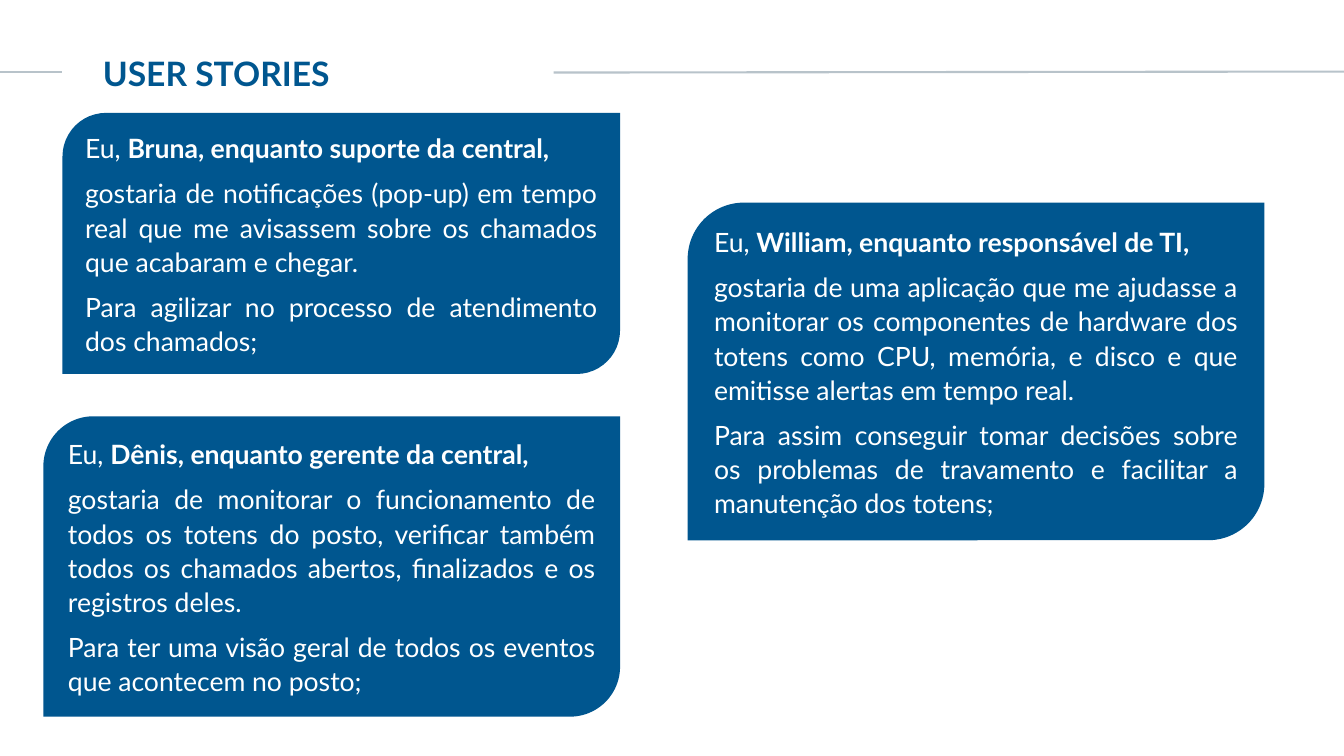
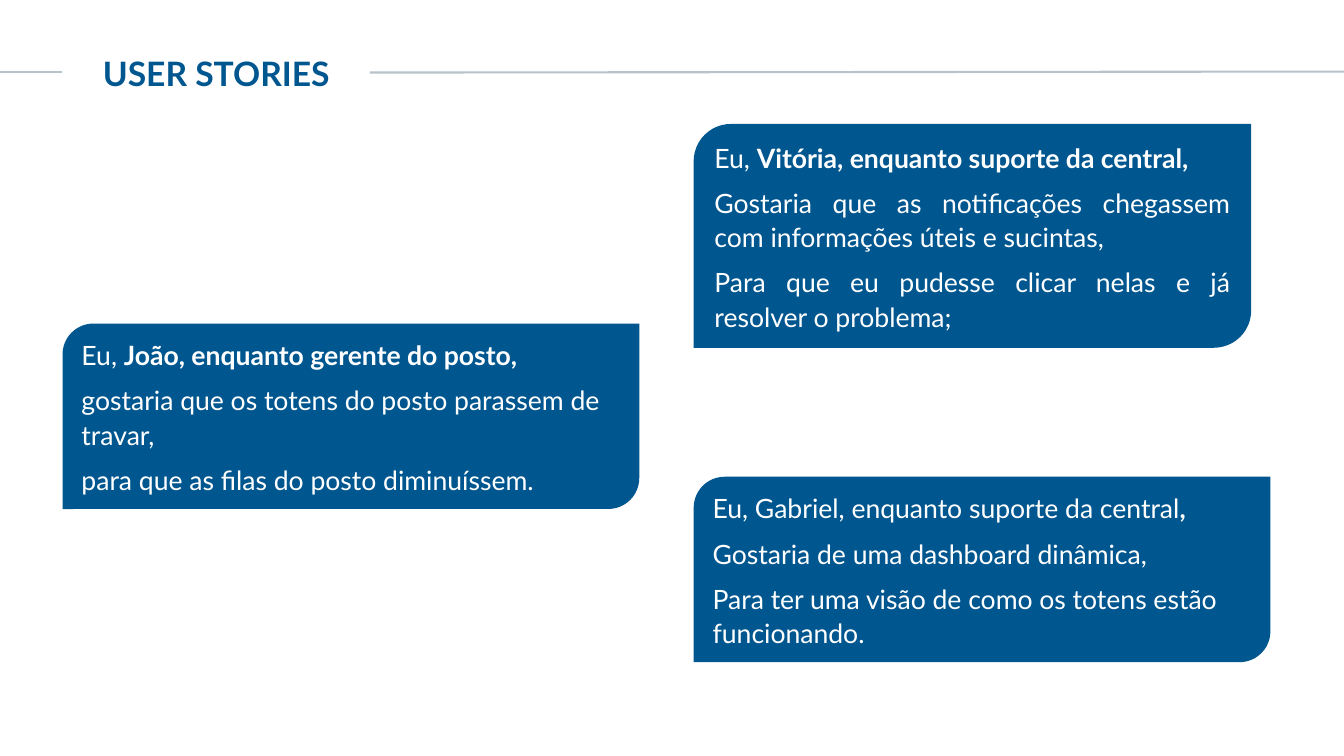
"""Build two slides of user stories on rounded cards."""
import pptx
import pptx.dml.color
import pptx.enum.shapes
import pptx.enum.text
import pptx.oxml
import pptx.util

Inches, Pt = pptx.util.Inches, pptx.util.Pt
RGBColor = pptx.dml.color.RGBColor
ALIGN = pptx.enum.text.PP_ALIGN
LEFT, JUST = ALIGN.LEFT, ALIGN.JUSTIFY
MIDDLE = pptx.enum.text.MSO_ANCHOR.MIDDLE

BLUE = RGBColor(0x00, 0x56, 0x8F)
GRAY = RGBColor(0xB8, 0xC3, 0xCA)
WHITE = RGBColor(0xFF, 0xFF, 0xFF)
FONT = "Lato"
WIDE, HIGH = 13.33, 7.5
TITLE = "USER STORIES"

SLIDES = [
    {"rule": 5.49, "cards": [
        ((0.62, 1.12, 5.53, 2.59), JUST, "Eu, ", "Bruna, enquanto suporte da central,", [
            "gostaria de notificações (pop-up) em tempo real que me avisassem "
            "sobre os chamados que acabaram e chegar.",
            "Para agilizar no processo de atendimento dos chamados;"]),
        ((0.43, 4.13, 5.72, 2.98), JUST, "Eu, ", "Dênis, enquanto gerente da central,", [
            "gostaria de monitorar o funcionamento de todos os totens do posto, "
            "verificar também todos os chamados abertos, finalizados e os registros deles.",
            "Para ter uma visão geral de todos os eventos que acontecem no posto;"]),
        ((6.82, 2.01, 5.72, 3.35), JUST, "Eu, ", "William, enquanto responsável de TI,", [
            "gostaria de uma aplicação que me ajudasse a monitorar os componentes de "
            "hardware dos totens como CPU, memória, e disco e que emitisse alertas em tempo real.",
            "Para assim conseguir tomar decisões sobre os problemas de travamento "
            "e facilitar a manutenção dos totens;"]),
    ]},
    {"rule": 3.67, "cards": [
        ((6.88, 1.23, 5.53, 2.22), JUST, "Eu, ", "Vitória, enquanto suporte da central,", [
            "Gostaria que as notificações chegassem com informações úteis e sucintas,",
            "Para que eu pudesse clicar nelas e já resolver o problema;"]),
        ((6.88, 4.73, 5.72, 1.84), LEFT, "Eu, Gabriel, enquanto suporte da central", ",", [
            "Gostaria de uma dashboard dinâmica,",
            "Para ter uma visão de como os totens estão funcionando."]),
        ((0.62, 3.21, 5.72, 1.84), LEFT, "Eu, ", "João, enquanto gerente do posto,", [
            "gostaria que os totens do posto parassem de travar,",
            "para que as filas do posto diminuíssem."]),
    ]},
]


def place(shape, box):
    shape.left, shape.top, shape.width, shape.height = map(Inches, box)


def add_run(para, text, size, color, bold=False):
    run = para.add_run()
    run.text = text
    run.font.name, run.font.size, run.font.bold = FONT, Pt(size), bold
    run.font.color.rgb = color


def add_rule(slide, start, end):
    ends = [Inches(n) for n in start + end]
    rule = slide.shapes.add_connector(pptx.enum.shapes.MSO_CONNECTOR.STRAIGHT, *ends)
    rule.line.color.rgb = GRAY
    rule.line.width = Pt(1.5)
    props = rule._element.spPr
    props.append(pptx.oxml.parse_xml(
        '<a:effectLst xmlns:a="http://schemas.openxmlformats.org/drawingml/2006/main"/>'))


def add_title(slide):
    title = slide.shapes.title
    place(title, (0.92, 0.47, 4.57, 0.5))
    frame = title.text_frame
    frame.auto_size = pptx.enum.text.MSO_AUTO_SIZE.NONE
    frame.vertical_anchor = MIDDLE
    para = frame.paragraphs[0]
    para.alignment = LEFT
    add_run(para, TITLE, 24, BLUE, True)


def add_card(slide, box, align, lead, role, wishes):
    kind = pptx.enum.shapes.MSO_SHAPE.ROUND_2_DIAG_RECTANGLE
    card = slide.shapes.add_shape(kind, *map(Inches, box))
    card.shadow.inherit = False
    card.fill.solid()
    card.fill.fore_color.rgb = BLUE
    card.line.fill.background()
    frame = card.text_frame
    frame.word_wrap = True
    frame.vertical_anchor = MIDDLE
    lines = [[(lead, False), (role, True)]] + [[(wish, False)] for wish in wishes]
    for row, line in enumerate(lines):
        para = frame.add_paragraph() if row else frame.paragraphs[0]
        para.alignment = align
        para.line_spacing = 1.07
        para.space_after = Pt(8)
        for text, bold in line:
            add_run(para, text, 19, WHITE, bold)


def main():
    deck = pptx.Presentation()
    deck.slide_width, deck.slide_height = Inches(WIDE), Inches(HIGH)
    for page in SLIDES:
        slide = deck.slides.add_slide(deck.slide_layouts[5])
        add_rule(slide, (page["rule"], 0.72), (WIDE, 0.71))
        add_title(slide)
        add_rule(slide, (0, 0.71), (0.62, 0.71))
        for card in page["cards"]:
            add_card(slide, *card)
    deck.save("out.pptx")


if __name__ == "__main__":
    main()
